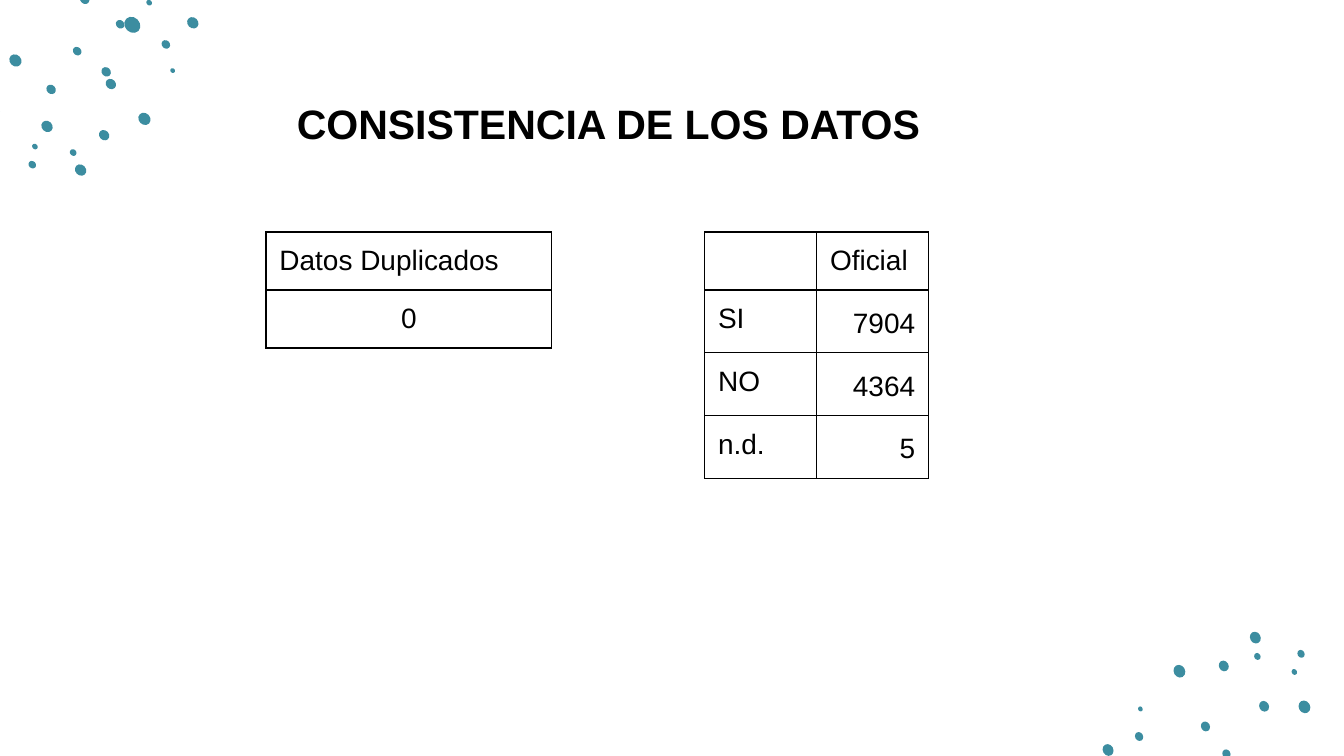
"""Builds the data consistency slide with two small bordered tables."""
from lxml import etree
from pptx import Presentation
from pptx import util as u
from pptx.dml.color import RGBColor
from pptx.enum import shapes, text
from pptx.oxml.ns import qn

Pt = u.Pt
COLORS = {"ink": "000000", "dot": "3C8DA0", "paper": "FFFFFF"}
LEFT, CENTER, RIGHT = text.PP_ALIGN.LEFT, text.PP_ALIGN.CENTER, text.PP_ALIGN.RIGHT


def write(frame, words, size=15, bold=False, align=LEFT, spacing=1.0):
    frame.text = words
    line = frame.paragraphs[0]
    line.alignment = align
    line.line_spacing = spacing
    line.font.name = "Arial"
    line.font.size = Pt(size)
    line.font.bold = bold
    line.font.color.rgb = RGBColor.from_string(COLORS["ink"])


def border(cell):
    properties = cell._tc.get_or_add_tcPr()
    for side in ("lnL", "lnR", "lnT", "lnB"):
        edge = etree.SubElement(properties, qn(f"a:{side}"), w=str(Pt(0.75)))
        paint = etree.SubElement(edge, qn("a:solidFill"))
        etree.SubElement(paint, qn("a:srgbClr"), val=COLORS["ink"])


deck = Presentation()
deck.slide_width, deck.slide_height = Pt(720), Pt(405)
slide = deck.slides.add_slide(deck.slide_layouts[5])
slide.background.fill.solid()
slide.background.fill.fore_color.rgb = RGBColor.from_string(COLORS["paper"])

top_left_dots = [
    (70.9, 13.3, 9.2), (79.9, 1.4, 3.2), (45.4, -0.4, 5.4), (64.4, 13, 4.9),
    (41.4, 27.4, 4.9), (56.9, 38.5, 5.4), (59.4, 45, 5.9), (27.4, 47.9, 5.4),
    (55.8, 72.4, 5.9), (25.2, 67.7, 6.5), (39.2, 81.7, 3.8), (43.2, 91.1, 6.5),
    (18.7, 78.5, 3.2), (17.3, 88.2, 4.3), (77.4, 63.7, 7), (103.3, 12.2, 6.5),
    (88.9, 23.8, 4.9), (92.5, 37.8, 2.7), (8.3, 32.4, 7), (-3.2, 58.7, 7),
]
bottom_right_dots = [
    (657, 403.9, 4.9), (645.8, 389.2, 5.4), (677.2, 378.4, 5.9),
    (655.6, 356.8, 5.9), (673.6, 351.7, 3.8), (672.5, 341.6, 6.5),
    (693.4, 360, 3.2), (697, 350.3, 4.3), (631.8, 359.6, 7),
    (593.6, 401.8, 6.5), (610.2, 394.6, 4.9), (610.9, 379.8, 2.7),
    (698.8, 378.7, 7),
]
for dots, angle in ((top_left_dots, 225), (bottom_right_dots, 60.3)):
    for x, y, length in dots:
        breadth = length * 0.87
        dot = slide.shapes.add_shape(
            shapes.MSO_SHAPE.OVAL, Pt(x - length / 2), Pt(y - breadth / 2),
            Pt(length), Pt(breadth))
        dot.rotation = angle
        dot.shadow.inherit = False
        dot.fill.solid()
        dot.fill.fore_color.rgb = RGBColor.from_string(COLORS["dot"])
        dot.line.fill.background()

duplicates = [["Datos Duplicados"], ["0"]]
official = [["", "Oficial"], ["SI", "7904"], ["NO", "4364"], ["n.d.", "5"]]
tables = (
    (duplicates, 142.5, 153, 31.1, [CENTER], 1.0),
    (official, 377.5, 60, 33.5, [LEFT, RIGHT], 1.15),
)
for rows, left, column_width, row_height, aligns, number_spacing in tables:
    columns = len(aligns)
    heights = [31.1] + [row_height] * (len(rows) - 1)
    grid = slide.shapes.add_table(
        len(rows), columns, Pt(left), Pt(124.3),
        Pt(column_width * columns), Pt(sum(heights))).table
    grid.first_row = grid.horz_banding = False
    for column in grid.columns:
        column.width = Pt(column_width)
    for r, values in enumerate(rows):
        grid.rows[r].height = Pt(heights[r])
        for c, value in enumerate(values):
            cell = grid.cell(r, c)
            cell.margin_left = cell.margin_right = Pt(7.2)
            cell.margin_top = cell.margin_bottom = Pt(7.2)
            align = aligns[c] if r else LEFT
            write(cell.text_frame, value, align=align,
                  spacing=number_spacing if align == RIGHT else 1.0)
            border(cell)
            cell.fill.background()

title = slide.shapes.title
title.left, title.top, title.width, title.height = Pt(147.6), Pt(45.4), Pt(362.9), Pt(41)
heading = title.text_frame
heading.word_wrap = True
heading.auto_size = text.MSO_AUTO_SIZE.NONE
heading.vertical_anchor = text.MSO_ANCHOR.TOP
heading.margin_left = heading.margin_right = Pt(7.2)
heading.margin_top = heading.margin_bottom = Pt(7.2)
write(heading, "CONSISTENCIA DE LOS DATOS ", size=22, bold=True, align=CENTER)

deck.save("out.pptx")
